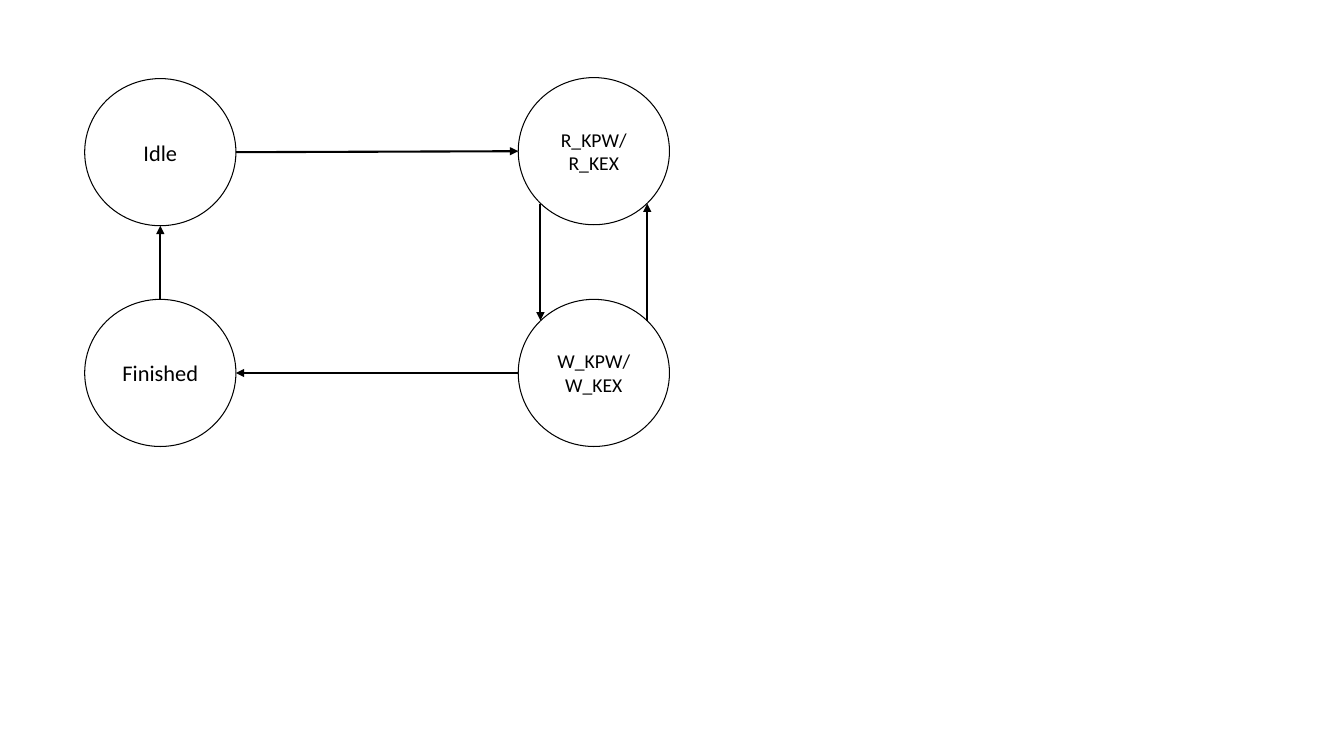
from dataclasses import dataclass
from math import cos, radians, sin

from lxml.etree import SubElement
from pptx import Presentation
from pptx.dml.color import RGBColor
from pptx.enum.shapes import MSO_CONNECTOR, MSO_SHAPE
from pptx.enum.text import MSO_ANCHOR, PP_ALIGN
from pptx.oxml.ns import qn
from pptx.slide import Slide
from pptx.util import Inches, Pt

INK = "000000"
FONT = "Calibri"
LEFT, TOP = 0.84, 0.77
COLUMN_STEP, ROW_STEP = 4.3, 2.2
STATE_WIDTH, STATE_HEIGHT = 1.5, 1.46


@dataclass(frozen=True)
class State:
    lines: tuple[str, ...]
    column: int
    row: int
    size: int
    drop: float = 0

    @property
    def left(self) -> float:
        return LEFT + self.column * COLUMN_STEP

    @property
    def top(self) -> float:
        return TOP + self.row * ROW_STEP + self.drop

    def rim(self, angle: float) -> tuple[float, float]:
        """Point on the outline, in degrees clockwise from the right."""
        turn = radians(angle)
        return (self.left + STATE_WIDTH / 2 * (1 + cos(turn)),
                self.top + STATE_HEIGHT / 2 * (1 + sin(turn)))


@dataclass(frozen=True)
class Transition:
    source: State
    source_angle: float
    target: State
    target_angle: float


IDLE = State(("Idle",), 0, 0, 16, drop=0.01)
FINISHED = State(("Finished",), 0, 1, 16)
READ = State(("R_KPW/", "R_KEX"), 1, 0, 14)
WRITE = State(("W_KPW/", "W_KEX"), 1, 1, 14)
STATES = (IDLE, FINISHED, READ, WRITE)

TRANSITIONS = (
    Transition(FINISHED, 270, IDLE, 90),
    Transition(IDLE, 0, READ, 180),
    Transition(READ, 135, WRITE, 225),
    Transition(WRITE, 180, FINISHED, 0),
    Transition(WRITE, 315, READ, 45),
)


def color(value: str) -> RGBColor:
    return RGBColor.from_string(value)


def draw_state(page: Slide, state: State) -> None:
    circle = page.shapes.add_shape(
        MSO_SHAPE.OVAL, Inches(state.left), Inches(state.top),
        Inches(STATE_WIDTH), Inches(STATE_HEIGHT))
    circle.shadow.inherit = False
    circle.fill.background()
    circle.line.color.rgb = color(INK)
    circle.line.width = Pt(0.75)
    frame = circle.text_frame
    frame.word_wrap = True
    frame.vertical_anchor = MSO_ANCHOR.MIDDLE
    para = frame.paragraphs[0]
    para.alignment = PP_ALIGN.CENTER
    for index, line in enumerate(state.lines):
        if index:
            para.add_line_break()
        span = para.add_run()
        span.text = line
        span.font.name = FONT
        span.font.size = Pt(state.size)
        span.font.color.rgb = color(INK)


def draw_transition(page: Slide, transition: Transition) -> None:
    start = transition.source.rim(transition.source_angle)
    end = transition.target.rim(transition.target_angle)
    arrow = page.shapes.add_connector(
        MSO_CONNECTOR.STRAIGHT, *(Inches(round(length, 2)) for length in start + end))
    arrow.line.color.rgb = color(INK)
    arrow.line.width = Pt(1.5)
    properties = arrow.line._get_or_add_ln()
    SubElement(properties, qn("a:tailEnd"), type="triangle")
    SubElement(properties.getparent(), qn("a:effectLst"))


def main() -> None:
    deck = Presentation()
    deck.slide_width, deck.slide_height = Inches(13.33), Inches(7.5)
    page = deck.slides.add_slide(deck.slide_layouts.get_by_name("Blank"))
    for state in STATES:
        draw_state(page, state)
    for transition in TRANSITIONS:
        draw_transition(page, transition)
    deck.save("out.pptx")


if __name__ == "__main__":
    main()
